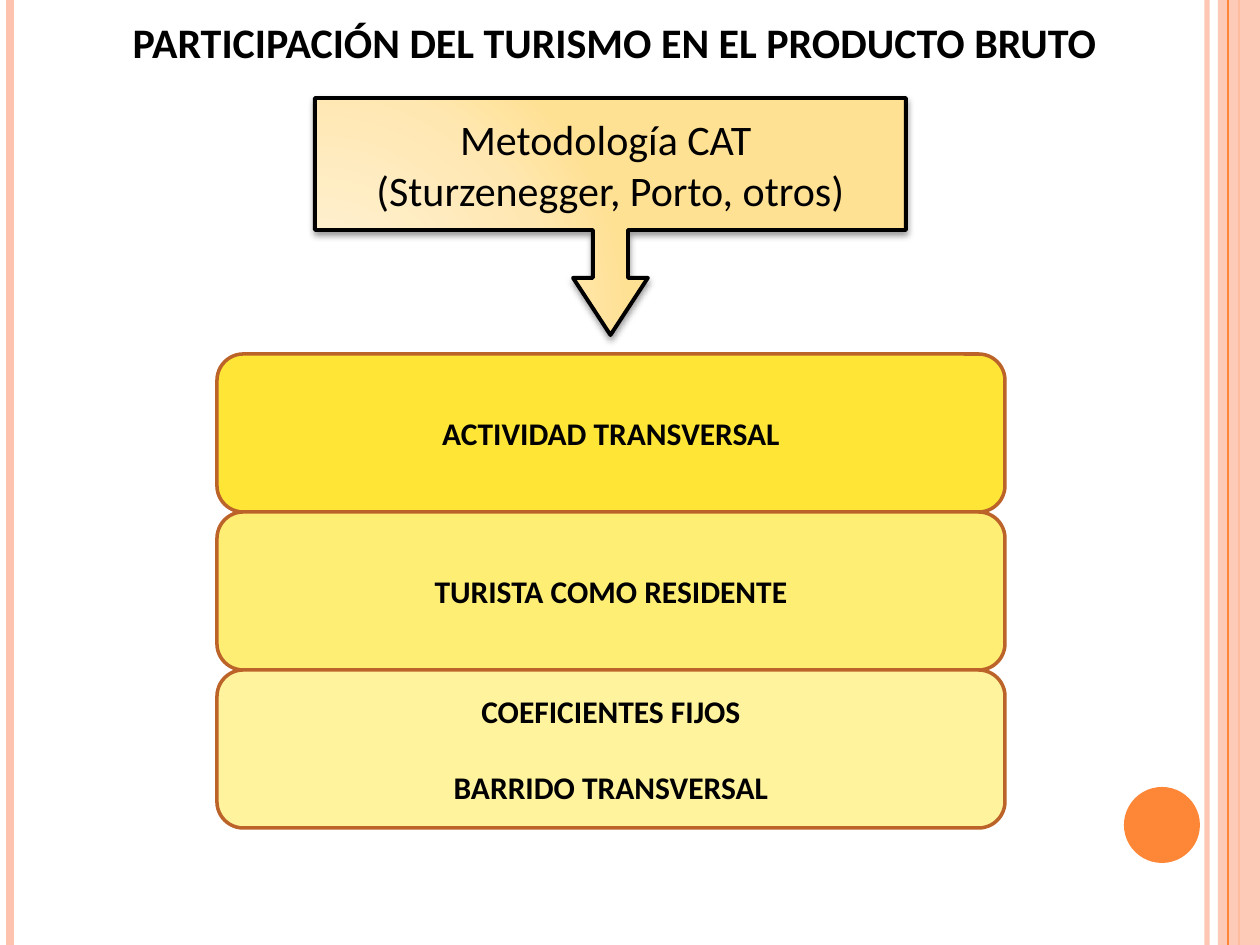
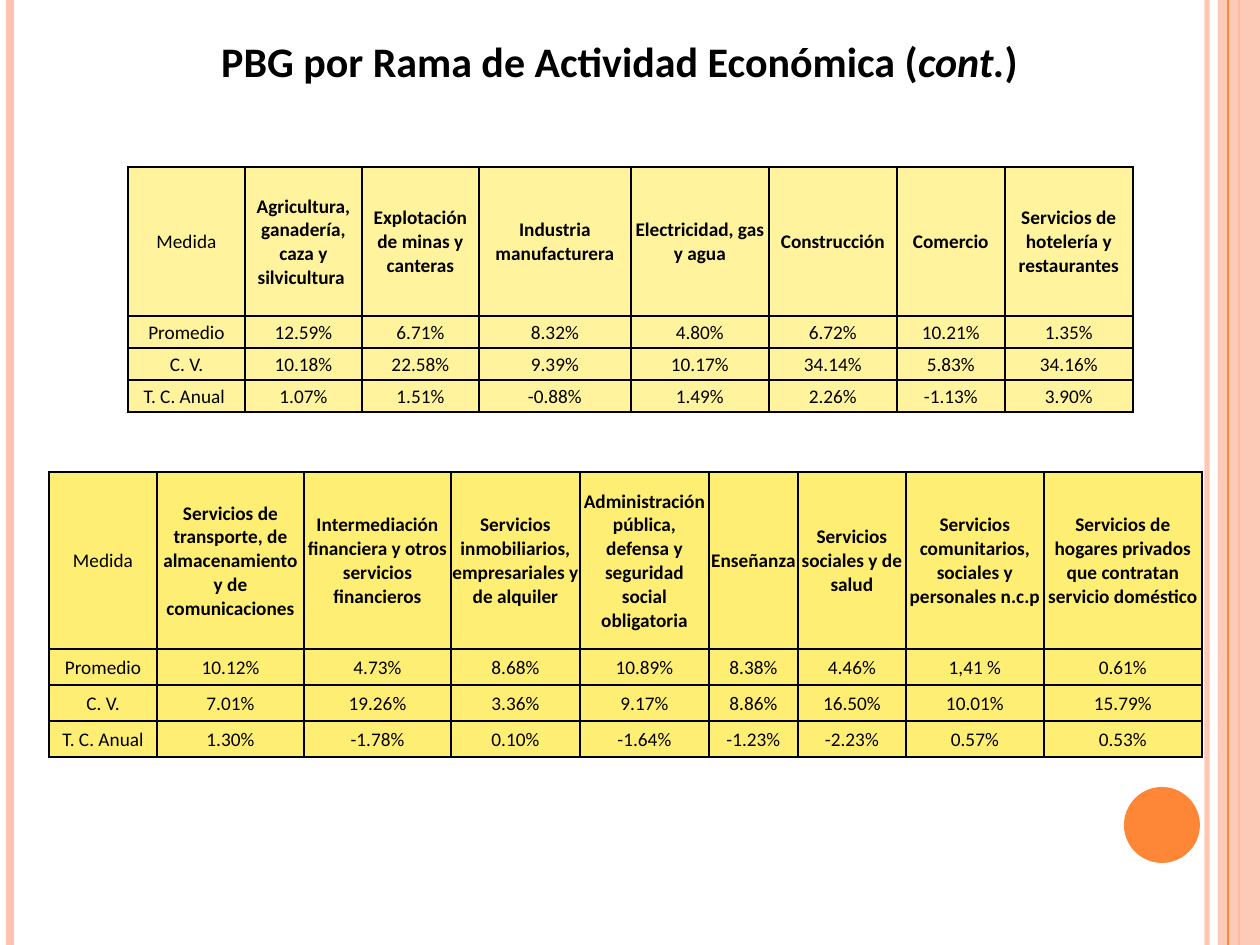
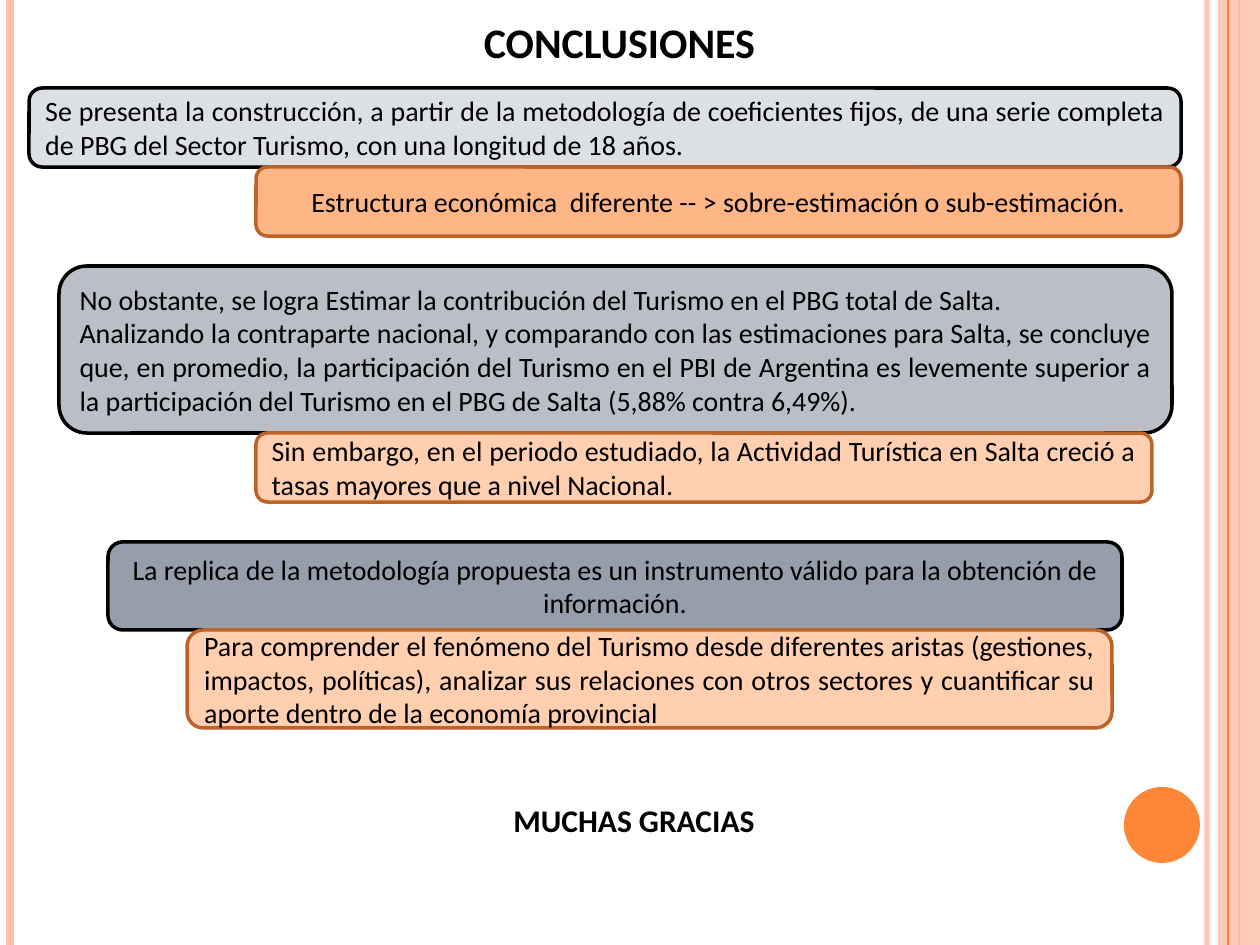
"""Build three slides on the share of tourism in the gross product."""
from lxml.etree import SubElement
from pptx import Presentation
from pptx.dml.color import RGBColor
from pptx.enum.shapes import MSO_CONNECTOR, MSO_SHAPE
from pptx.enum.text import MSO_ANCHOR, MSO_AUTO_SIZE, PP_ALIGN
from pptx.oxml import parse_xml
from pptx.oxml.ns import nsdecls, qn
from pptx.util import Emu, Pt

PX = 914400 / 126
WIDTH, HEIGHT = 1260, 945
FONT = "Calibri"
BLACK = RGBColor(0x00, 0x00, 0x00)
PEACH = RGBColor(0xFE, 0xC3, 0xAE)
ORANGE = RGBColor(0xFE, 0x86, 0x37)
RUST = RGBColor(0xBC, 0x63, 0x29)
YELLOW = RGBColor(0xFF, 0xE6, 0x36)
SOFT_YELLOW = RGBColor(0xFF, 0xEE, 0x74)
PALE_YELLOW = RGBColor(0xFF, 0xF3, 0x9D)
LIGHT_GREY = RGBColor(0xDC, 0xDF, 0xE3)
GREY = RGBColor(0xB9, 0xBE, 0xC7)
DARK_GREY = RGBColor(0x96, 0x9E, 0xAB)
SALMON = RGBColor(0xFE, 0xB6, 0x87)
PALE_SALMON = RGBColor(0xFF, 0xCF, 0xAF)
CENTER, JUSTIFY, LEFT = PP_ALIGN.CENTER, PP_ALIGN.JUSTIFY, PP_ALIGN.LEFT

TITLE = {"size": Pt(24), "bold": True}
LABEL = {"size": Pt(18), "bold": True}
BODY = {"size": Pt(16)}
CALLOUT = {"size": Pt(24)}
CELL = {"size": Pt(11)}

BAND = (1218, 0, 42, HEIGHT)
DOT = (1124, 787, 76, 76)
LINES_BELOW = [(1207, PEACH, 3, 93), (10, PEACH, 4.5, 100), (1239, ORANGE, 1.5, 100)]
LINES_ABOVE = [(1228, ORANGE, 0.75, 100)]

TITLES = [
    ((98, 10, 1033, 63), ["PARTICIPACIÓN DEL TURISMO EN EL PRODUCTO BRUTO"]),
    ((88, 29, 1063, 63),
     [[("PBG por Rama de Actividad Económica (", False), ("cont.", True), (")", False)]]),
    ((88, 10, 1063, 63), ["CONCLUSIONES"]),
]

METHOD_PLACE = (315, 98, 591, 237)
METHOD = ["Metodología CAT ", "(Sturzenegger, Porto, otros)"]
METHOD_ADJUSTMENTS = (0.148, 0.158, 0.241, 0.557)
METHOD_STOPS = [(0, "FFF0D1"), (30, "FFEFCC"), (75, "FFE7B1"), (100, "FFE193")]
STEPS_PLACE = (217, 354, 788, 158)
STEPS = [
    (YELLOW, ["ACTIVIDAD TRANSVERSAL"]),
    (SOFT_YELLOW, ["TURISTA COMO RESIDENTE"]),
    (PALE_YELLOW, ["COEFICIENTES FIJOS", "BARRIDO TRANSVERSAL"]),
]

TABLES = [
    {"corner": (128, 167), "fill": PALE_YELLOW, "heights": (149, 32),
     "widths": (117, 117, 117, 152, 138, 128, 108, 128),
     "rows": [
         ("Medida", "Agricultura, ganadería, caza y silvicultura ",
          "Explotación de minas y canteras", "Industria manufacturera",
          "Electricidad, gas y agua", "Construcción", "Comercio",
          "Servicios de hotelería y restaurantes"),
         ("Promedio", "12.59%", "6.71%", "8.32%", "4.80%", "6.72%", "10.21%", "1.35%"),
         ("C. V.", "10.18%", "22.58%", "9.39%", "10.17%", "34.14%", "5.83%", "34.16%"),
         ("T. C. Anual ", "1.07%", "1.51%", "-0.88%", "1.49%", "2.26%", "-1.13%", "3.90%"),
     ]},
    {"corner": (49, 472), "fill": SOFT_YELLOW, "heights": (177, 36),
     "widths": (108, 147, 147, 129, 129, 89, 108, 138, 158),
     "rows": [
         ("Medida", "Servicios de transporte, de almacenamiento y de comunicaciones",
          "Intermediación financiera y otros servicios financieros",
          "Servicios inmobiliarios, empresariales y de alquiler",
          "Administración pública, defensa y seguridad social obligatoria",
          "Enseñanza", "Servicios sociales y de salud",
          "Servicios comunitarios, sociales y personales n.c.p",
          "Servicios de hogares privados que contratan servicio doméstico"),
         ("Promedio", "10.12%", "4.73%", "8.68%", "10.89%", "8.38%", "4.46%", "1,41 %", "0.61%"),
         ("C. V.", "7.01%", "19.26%", "3.36%", "9.17%", "8.86%", "16.50%", "10.01%", "15.79%"),
         ("T. C. Anual", "1.30%", "-1.78%", "0.10%", "-1.64%", "-1.23%", "-2.23%", "0.57%",
          "0.53%"),
     ]},
]

CONCLUSIONS = [
    ((29, 88, 1152, 79), LIGHT_GREY, BLACK, JUSTIFY,
     ["Se presenta la construcción, a partir de la metodología de coeficientes fijos, de una "
      "serie completa de PBG del Sector Turismo, con una longitud de 18 años. "]),
    ((59, 266, 1113, 167), GREY, BLACK, JUSTIFY,
     ["No obstante, se logra Estimar la contribución del Turismo en el PBG total de Salta.",
      "Analizando la contraparte nacional, y comparando con las estimaciones para Salta, se "
      "concluye que, en promedio, la participación del Turismo en el PBI de Argentina es "
      "levemente superior a la participación del Turismo en el PBG de Salta (5,88% contra "
      "6,49%). "]),
    ((108, 542, 1014, 88), DARK_GREY, BLACK, CENTER,
     ["La replica de la metodología propuesta es un instrumento válido para la obtención de "
      "información."]),
    ((256, 167, 925, 69), SALMON, RUST, CENTER,
     ["Estructura económica  diferente -- > sobre-estimación o sub-estimación."]),
    ((256, 433, 896, 69), PALE_SALMON, RUST, JUSTIFY,
     ["Sin embargo, en el periodo estudiado, la Actividad Turística en Salta creció a tasas "
      "mayores que a nivel Nacional."]),
    ((187, 630, 925, 98), PALE_SALMON, RUST, JUSTIFY,
     ["Para comprender el fenómeno del Turismo desde diferentes aristas (gestiones, impactos, "
      "políticas), analizar sus relaciones con otros sectores y cuantificar su aporte dentro "
      "de la economía provincial"]),
]
THANKS_PLACE, THANKS = (501, 795, 276, 50), ["MUCHAS GRACIAS"]


def scaled(*lengths):
    return [Emu(round(length * PX)) for length in lengths]


def write(frame, paragraphs, look, align=CENTER, gap=0):
    frame.word_wrap = True
    for index, content in enumerate(paragraphs):
        para = frame.add_paragraph() if index else frame.paragraphs[0]
        para.alignment = align
        if index and gap:
            para.space_before = Pt(gap)
        spans = [(content, False)] if isinstance(content, str) else content
        for text, italic in spans:
            span = para.add_run()
            span.text = text
            span.font.color.rgb = BLACK
            for name, value in {"name": FONT, "italic": italic, **look}.items():
                setattr(span.font, name, value)


def set_alpha(fill, percent):
    if percent < 100:
        color = fill._xPr.find(qn("a:solidFill"))[0]
        SubElement(color, qn("a:alpha"), val=str(percent * 1000))


def add_text(page, place, paragraphs, look, align=CENTER):
    box = page.shapes.add_textbox(*scaled(*place))
    write(box.text_frame, paragraphs, look, align)
    box.text_frame.auto_size = MSO_AUTO_SIZE.SHAPE_TO_FIT_TEXT


def add_box(page, kind, place, fill, line=None, width=2.0):
    box = page.shapes.add_shape(kind, *scaled(*place))
    box.shadow.inherit = False
    box.fill.solid()
    box.fill.fore_color.rgb = fill
    if line is None:
        box.line.fill.background()
    else:
        box.line.color.rgb = line
        box.line.width = Pt(width)
    box.text_frame.vertical_anchor = MSO_ANCHOR.MIDDLE
    return box


def add_vertical_lines(page, lines):
    for x, color, width, alpha in lines:
        line = page.shapes.add_connector(MSO_CONNECTOR.STRAIGHT, *scaled(x, 0, x, HEIGHT))
        line.line.color.rgb = color
        line.line.width = Pt(width)
        set_alpha(line.line.fill, alpha)
        SubElement(line._element.spPr, qn("a:effectLst"))


def add_page(deck, title):
    page = deck.slides.add_slide(deck.slide_layouts[6])
    add_vertical_lines(page, LINES_BELOW)
    set_alpha(add_box(page, MSO_SHAPE.RECTANGLE, BAND, PEACH).fill, 87)
    add_vertical_lines(page, LINES_ABOVE)
    add_box(page, MSO_SHAPE.OVAL, DOT, ORANGE)
    add_text(page, *title, TITLE)
    return page


def add_method(page):
    box = add_box(page, MSO_SHAPE.DOWN_ARROW_CALLOUT, METHOD_PLACE, PALE_YELLOW, BLACK, 2.25)
    for index, value in enumerate(METHOD_ADJUSTMENTS):
        box.adjustments[index] = value
    stops = "".join(f'<a:gs pos="{at * 1000}"><a:srgbClr val="{color}"/></a:gs>'
                    for at, color in METHOD_STOPS)
    properties = box._element.spPr
    properties.replace(properties.find(qn("a:solidFill")), parse_xml(
        f'<a:gradFill {nsdecls("a")} rotWithShape="1"><a:gsLst>{stops}</a:gsLst>'
        '<a:path path="circle"><a:fillToRect l="5000" t="100000" r="120000" b="10000"/>'
        '</a:path></a:gradFill>'))
    properties.replace(properties.find(qn("a:effectLst")), parse_xml(
        f'<a:effectLst {nsdecls("a")}><a:outerShdw blurRad="{Pt(4)}" dist="{Pt(2)}" '
        'dir="5400000" rotWithShape="0"><a:srgbClr val="000000"><a:alpha val="40000"/>'
        '</a:srgbClr></a:outerShdw></a:effectLst>'))
    write(box.text_frame, METHOD, CALLOUT)


def add_steps(page):
    left, top, width, height = STEPS_PLACE
    for index, (fill, paragraphs) in enumerate(STEPS):
        place = (left, top + index * height, width, height)
        box = add_box(page, MSO_SHAPE.ROUNDED_RECTANGLE, place, fill, RUST)
        write(box.text_frame, paragraphs, LABEL, gap=22)


def add_borders(cell):
    properties = cell._tc.get_or_add_tcPr()
    for index, side in enumerate(("lnL", "lnR", "lnT", "lnB")):
        properties.insert(index, parse_xml(
            f'<a:{side} {nsdecls("a")} w="{Pt(1)}"><a:solidFill><a:srgbClr val="{BLACK}"/>'
            f'</a:solidFill></a:{side}>'))


def add_measures(page, corner, fill, heights, widths, rows):
    header, body = heights
    row_heights = [header] + [body] * (len(rows) - 1)
    frame = page.shapes.add_table(len(rows), len(widths), *scaled(
        *corner, sum(widths), sum(row_heights)))
    table = frame.table
    table.first_row = table.horz_banding = False
    for column, width in zip(table.columns, scaled(*widths)):
        column.width = width
    for row, height in zip(table.rows, scaled(*row_heights)):
        row.height = height
    margins = dict(zip(("margin_left", "margin_right", "margin_top", "margin_bottom"),
                       scaled(1, 1, 1, 0)))
    for i, texts in enumerate(rows):
        for j, text in enumerate(texts):
            cell = table.cell(i, j)
            for name, value in {**margins, "vertical_anchor": MSO_ANCHOR.MIDDLE}.items():
                setattr(cell, name, value)
            cell.fill.solid()
            cell.fill.fore_color.rgb = fill
            add_borders(cell)
            write(cell.text_frame, [text], {**CELL, "bold": i == 0 and j > 0})


def main():
    deck = Presentation()
    deck.slide_width, deck.slide_height = scaled(WIDTH, HEIGHT)
    method_page, tables_page, conclusions_page = [add_page(deck, title) for title in TITLES]
    add_method(method_page)
    add_steps(method_page)
    for table in TABLES:
        add_measures(tables_page, **table)
    for place, fill, line, align, paragraphs in CONCLUSIONS:
        box = add_box(conclusions_page, MSO_SHAPE.ROUNDED_RECTANGLE, place, fill, line)
        write(box.text_frame, paragraphs, BODY, align)
    add_text(conclusions_page, THANKS_PLACE, THANKS, LABEL, LEFT)
    deck.save("out.pptx")


if __name__ == "__main__":
    main()
